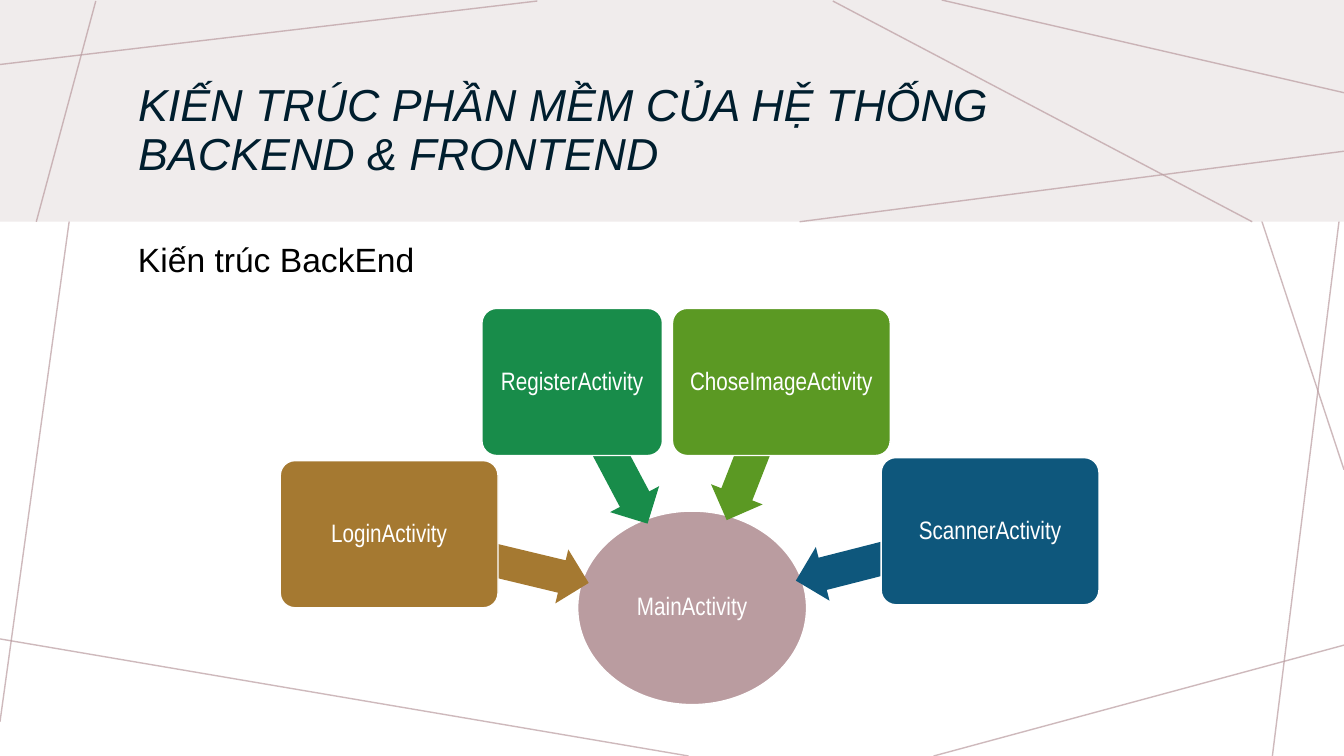
from lxml.etree import SubElement
from pptx import Presentation
from pptx.dml.color import RGBColor
from pptx.enum.shapes import MSO_CONNECTOR, MSO_SHAPE
from pptx.enum.text import MSO_ANCHOR, MSO_AUTO_SIZE, PP_ALIGN
from pptx.oxml.ns import qn
from pptx.util import Inches, Pt

COLORS = {
    "white": "FFFFFF",
    "black": "000000",
    "navy": "001E2E",
    "header": "F0ECEC",
    "mauve": "BA9CA0",
    "brown": "A57931",
    "lime": "5B9923",
    "green": "188C4A",
    "blue": "0E577C",
}

BACKGROUND_LINES = [
    (3.41, 0, 0, 0.75),
    (0.99, 0, 0, 7.16),
    (6.83, 7.5, -0.05, 6.33),
    (13.33, 6.4, 9.26, 7.5),
    (13.33, 1.8, 12.62, 7.5),
    (13.33, 4.66, 11.79, 0),
    (13.33, 1.01, 7.14, -0.01),
]

HEADER_LINES = [
    (0, 0.64, 5.33, 0.01),
    (0.95, 0.01, 0.36, 2.2),
    (8.26, 0.01, 12.42, 2.2),
    (9.34, 0, 13.33, 0.92),
    (13.33, 1.5, 7.93, 2.2),
]

ACTIVITIES = [
    ("LoginActivity", "brown", (2.78, 4.57, 2.16), (3.66, 5.25, 2.21), 193.5),
    ("ChoseImageActivity", "lime", (6.67, 3.06, 2.16), (6.7, 4.14, 1.6), 291.4),
    ("RegisterActivity", "green", (4.78, 3.06, 1.79), (5.16, 4.16, 1.72), 242.1),
    ("ScannerActivity", "blue", (8.74, 4.54, 2.16), (7.86, 5.22, 2.15), 345.7),
]
BOX_HEIGHT = 1.46
ARROW_HEIGHT = 0.55


def color(name):
    return RGBColor.from_string(COLORS[name])


def add_line(slide, start_x, start_y, end_x, end_y):
    line = slide.shapes.add_connector(
        MSO_CONNECTOR.STRAIGHT,
        Inches(start_x), Inches(start_y), Inches(end_x), Inches(end_y),
    )
    line.line.color.rgb = color("mauve")
    line.line.width = Pt(1)
    properties = line._element.spPr
    color_element = next(properties.iter(qn("a:srgbClr")))
    SubElement(color_element, qn("a:alpha")).set("val", "70000")
    SubElement(properties, qn("a:effectLst"))


def add_filled_shape(slide, kind, left, top, width, height, fill, outline=None):
    shape = slide.shapes.add_shape(
        kind, Inches(left), Inches(top), Inches(width), Inches(height)
    )
    shape.shadow.inherit = False
    shape.fill.solid()
    shape.fill.fore_color.rgb = color(fill)
    if outline:
        shape.line.color.rgb = color(outline)
        shape.line.width = Pt(1)
    else:
        shape.line.fill.background()
    return shape


def set_text(shape, text, size, font_name, font_color, alignment, italic=False):
    frame = shape.text_frame
    frame.text = text
    frame.word_wrap = True
    paragraph = frame.paragraphs[0]
    paragraph.alignment = alignment
    font = paragraph.runs[0].font
    font.size = Pt(size)
    font.name = font_name
    font.italic = italic
    font.color.rgb = color(font_color)


def add_label(shape, text, inset):
    set_text(shape, text, 18, "Arial Narrow", "white", PP_ALIGN.CENTER)
    frame = shape.text_frame
    frame.vertical_anchor = MSO_ANCHOR.MIDDLE
    frame.margin_left = frame.margin_right = Inches(inset)
    frame.margin_top = frame.margin_bottom = Inches(inset)
    frame.paragraphs[0].line_spacing = 0.9


def add_activity(slide, name, fill, box_place, arrow_place, rotation):
    arrow = add_filled_shape(
        slide, MSO_SHAPE.LEFT_ARROW, *arrow_place, ARROW_HEIGHT, fill
    )
    arrow.adjustments[0] = 0.6
    arrow.adjustments[1] = 0.5
    arrow.rotation = rotation
    box = add_filled_shape(
        slide, MSO_SHAPE.ROUNDED_RECTANGLE, *box_place, BOX_HEIGHT, fill, "white"
    )
    box.adjustments[0] = 0.1
    add_label(box, name, 0.04)


def place_title(slide, text):
    title = slide.shapes.title
    title.left, title.top = Inches(1.27), Inches(0.64)
    title.width, title.height = Inches(8.83), Inches(1.33)
    set_text(title, text, 32, "Arial", "navy", PP_ALIGN.LEFT, italic=True)
    frame = title.text_frame
    frame.auto_size = MSO_AUTO_SIZE.NONE
    frame.vertical_anchor = MSO_ANCHOR.MIDDLE
    frame.paragraphs[0].line_spacing = 0.9
    slide.shapes._spTree.append(title._element)


def add_subtitle(slide, text):
    subtitle = slide.shapes.add_textbox(
        Inches(1.27), Inches(2.32), Inches(3.58), Inches(0.5)
    )
    set_text(subtitle, text, 24, "Arial", "black", PP_ALIGN.LEFT)
    subtitle.text_frame.auto_size = MSO_AUTO_SIZE.SHAPE_TO_FIT_TEXT


def main():
    presentation = Presentation()
    presentation.slide_width = Inches(13.33)
    presentation.slide_height = Inches(7.5)
    slide = presentation.slides.add_slide(presentation.slide_layouts[5])

    for line in BACKGROUND_LINES:
        add_line(slide, *line)
    add_filled_shape(slide, MSO_SHAPE.RECTANGLE, 0, 0, 13.33, 2.2, "header")
    place_title(slide, "KIẾN TRÚC PHẦN MỀM CỦA HỆ THỐNG BACKEND & FRONTEND")
    for line in HEADER_LINES:
        add_line(slide, *line)
    add_subtitle(slide, "Kiến trúc BackEnd")

    main_activity = add_filled_shape(
        slide, MSO_SHAPE.OVAL, 5.73, 5.07, 2.27, 1.92, "mauve", "white"
    )
    add_label(main_activity, "MainActivity", 0.01)
    for activity in ACTIVITIES:
        add_activity(slide, *activity)

    presentation.save("out.pptx")


if __name__ == "__main__":
    main()
